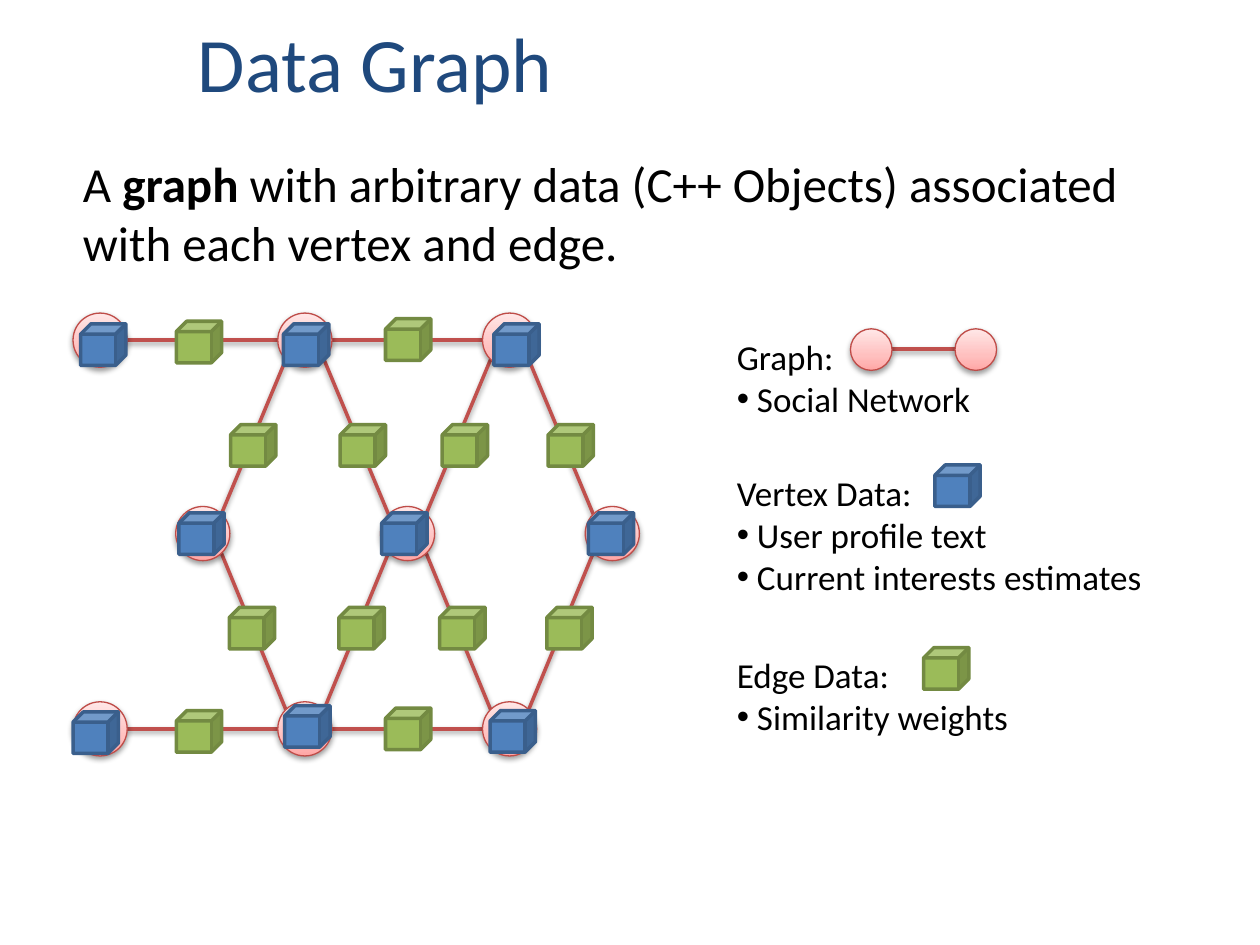
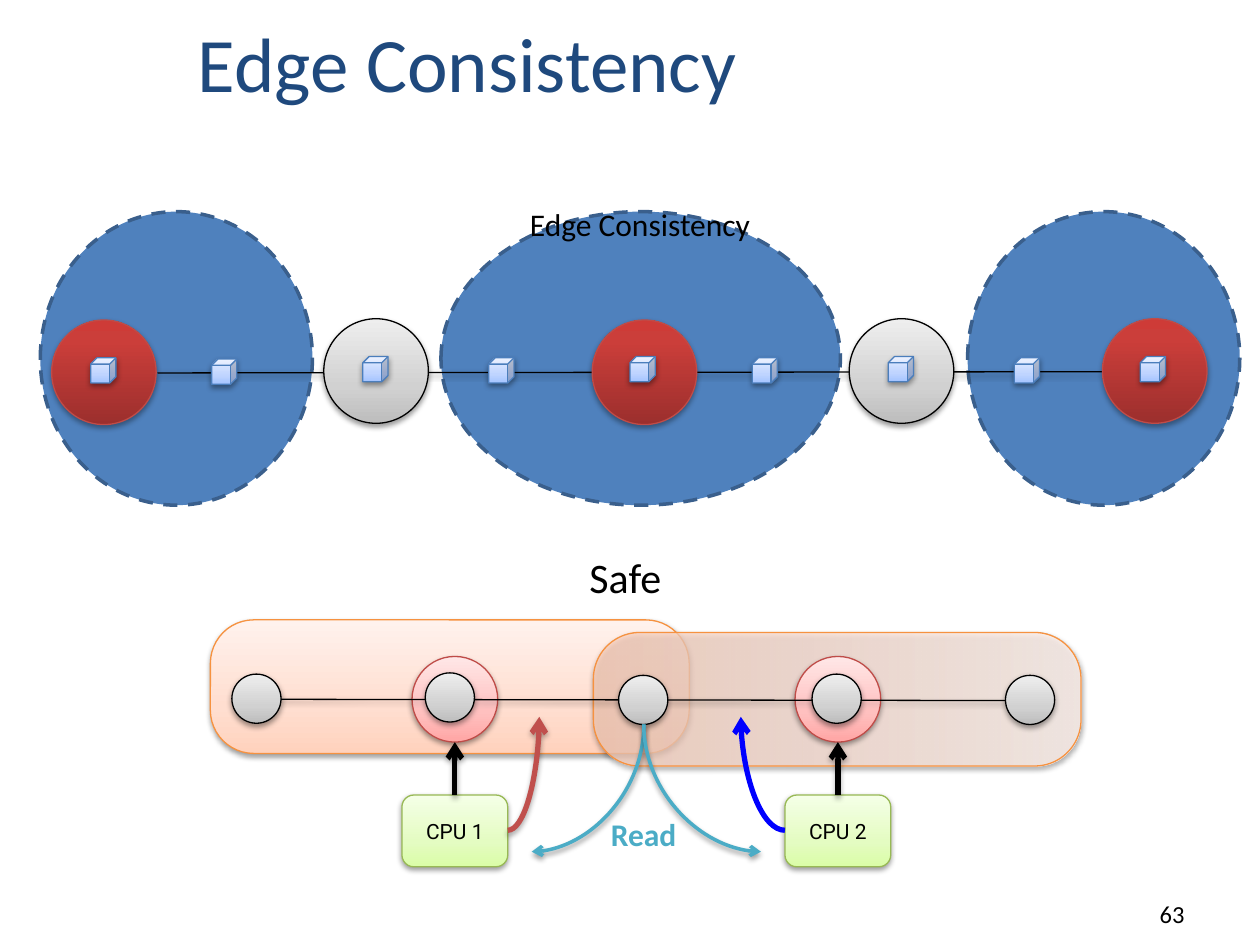
from lxml.etree import SubElement
from pptx import Presentation
from pptx.dml.color import RGBColor
from pptx.enum.dml import MSO_LINE
from pptx.enum.shapes import MSO_CONNECTOR, MSO_SHAPE
from pptx.enum.text import MSO_ANCHOR, PP_ALIGN
from pptx.oxml.ns import qn
from pptx.util import Inches, Pt

BLACK = RGBColor(0x00, 0x00, 0x00)
TITLE_BLUE = RGBColor(0x1F, 0x49, 0x7D)
BLUE = RGBColor(0x4F, 0x81, 0xBD)
BLUE_EDGE = RGBColor(0x3A, 0x5F, 0x8C)
GREEN = RGBColor(0x9B, 0xBB, 0x59)
GREEN_EDGE = RGBColor(0x73, 0x8A, 0x42)
RED = RGBColor(0xC0, 0x50, 0x4D)
RED_EDGE = RGBColor(0xBF, 0x4C, 0x48)
ORANGE_EDGE = RGBColor(0xF6, 0x92, 0x40)
LIME_EDGE = RGBColor(0x98, 0xB9, 0x55)
ICE_EDGE = RGBColor(0x4B, 0x7E, 0xBC)
PURE_BLUE = RGBColor(0x00, 0x00, 0xFF)
TEAL = RGBColor(0x4B, 0xAC, 0xC6)

# Gradients: (position %, colour, opacity %) from bottom to top
PINK_FADE = [(0, "FFA6A5", 100), (35, "FFC0BF", 100), (100, "FFE7E7", 100)]
RED_FADE = [(0, "9C2F2D", 100), (80, "CB3E3A", 100), (100, "CE3B37", 100)]
GREY_FADE = [(0, "BDBDBD", 100), (35, "D1D1D1", 100), (100, "EEEEEE", 100)]
PEACH_FADE = [(0, "FFD2BD", 100), (35, "FFDED0", 100), (100, "FFF2ED", 100)]
CLEAR_FADE = [(0, "FFD2BD", 72), (35, "FFDED0", 70), (100, "FFF2ED", 80)]
LIME_FADE = [(0, "DAFDA7", 100), (35, "E4FCC2", 100), (100, "F5FFE7", 100)]
ICE_FADE = [(0, "A4C4FF", 100), (35, "BFD4FF", 100), (100, "E6EEFF", 100)]

# Shadows: (distance in EMU, opacity %)
SOFT = (20000, 38)
STRONG = (23000, 35)


def paint(item, edge, width, fill=None, shadow=SOFT, arrow=None, angle=270):
    """Style a shape or a connector: fill, line, arrowhead and shadow."""
    properties = item.element.spPr
    if isinstance(fill, RGBColor):
        item.fill.solid()
        item.fill.fore_color.rgb = fill
    elif fill:
        item.fill.gradient()
        gradient = properties.find(qn("a:gradFill"))
        for child in list(gradient):
            gradient.remove(child)
        stops = SubElement(gradient, qn("a:gsLst"))
        for position, color, opacity in fill:
            stop = SubElement(stops, qn("a:gs"), pos=str(position * 1000))
            shade = SubElement(stop, qn("a:srgbClr"), val=color)
            if opacity < 100:
                SubElement(shade, qn("a:alpha"), val=str(opacity * 1000))
        SubElement(gradient, qn("a:lin"), ang=str(angle * 60000), scaled="0")
    item.line.color.rgb = edge
    item.line.width = Pt(width)
    if arrow:
        SubElement(properties.find(qn("a:ln")), qn(f"a:{arrow}End"), type="arrow")
    effects = SubElement(properties, qn("a:effectLst"))
    if shadow:
        distance, opacity = shadow
        outer = SubElement(effects, qn("a:outerShdw"), blurRad="40000",
                           dist=str(distance), dir="5400000", rotWithShape="0")
        shade = SubElement(outer, qn("a:srgbClr"), val="000000")
        SubElement(shade, qn("a:alpha"), val=str(opacity * 1000))


def write(frame, paragraphs, size, color=BLACK, align=PP_ALIGN.LEFT,
          font="Calibri", wrap=True):
    """Fill a text frame; every paragraph after the first is a bullet."""
    frame.word_wrap = wrap
    for index, runs in enumerate(paragraphs):
        para = frame.add_paragraph() if index else frame.paragraphs[0]
        para.alignment = align
        if index:
            layout = para._p.get_or_add_pPr()
            layout.set("marL", str(Inches(0.16)))
            layout.set("indent", str(-Inches(0.16)))
            SubElement(layout, qn("a:buFont"), typeface="Arial")
            SubElement(layout, qn("a:buChar"), char="•")
        for text, bold in runs:
            span = para.add_run()
            span.text = text
            span.font.name = font
            span.font.size = Pt(size)
            span.font.bold = bold
            span.font.color.rgb = color


deck = Presentation()
deck.slide_width, deck.slide_height = Inches(10), Inches(7.5)

# Pages with their titles
pages = []
for heading in ("Data Graph", "Edge Consistency"):
    page = deck.slides.add_slide(deck.slide_layouts[5])
    title = page.shapes.title
    title.left, title.top = Inches(1.47), Inches(0.08)
    title.width, title.height = Inches(8.2), Inches(0.83)
    title.text_frame.vertical_anchor = MSO_ANCHOR.BOTTOM
    write(title.text_frame, [[(heading, False)]], 44, TITLE_BLUE)
    pages.append(page)
graph_page, consistency_page = pages

# ---- Data graph ----
shapes = graph_page.shapes
intro = shapes.add_textbox(Inches(0.56), Inches(1.17), Inches(8.69), Inches(1.04))
write(intro.text_frame, [[
    ("A ", False), ("graph", True),
    (" with arbitrary data (C++ Objects) associated with each vertex and edge.", False),
]], 28)

# Lattice: two outer rows, and a middle row shifted by half a column
RADIUS, CORNER = 0.215, 0.15
HALF_STEP = 0.815
outer_columns = [0.795, 2.42, 4.045]
middle_columns = [x + HALF_STEP for x in outer_columns]
TOP_ROW, MIDDLE_ROW, BOTTOM_ROW = 2.7, 4.235, 5.785

edges = [(7.08, 2.77, 7.58, 2.77)]
for row, down in ((TOP_ROW, 1), (BOTTOM_ROW, -1)):
    for left, right in zip(outer_columns, outer_columns[1:]):
        edges.append((left + RADIUS, row, right - RADIUS, row))
    for x in outer_columns[1:]:
        for side in (-1, 1):
            edges.append((x + side * CORNER, row + down * CORNER,
                          x + side * (HALF_STEP - CORNER), MIDDLE_ROW - down * CORNER))
for ends in edges:
    edge = shapes.add_connector(MSO_CONNECTOR.STRAIGHT, *map(Inches, ends))
    paint(edge, RED, 2)

vertices = [(6.915, 2.775, 0.165), (7.745, 2.775, 0.165)]
for row, columns in ((TOP_ROW, outer_columns), (MIDDLE_ROW, middle_columns),
                     (BOTTOM_ROW, outer_columns)):
    vertices += [(x, row, RADIUS) for x in columns]
for x, y, radius in vertices:
    vertex = shapes.add_shape(MSO_SHAPE.OVAL, Inches(x - radius), Inches(y - radius),
                              Inches(2 * radius), Inches(2 * radius))
    paint(vertex, RED_EDGE, 0.75, PINK_FADE)

# Data cubes on vertices (blue) and edges (green), with the legend cubes last
vertex_cubes = [(0.64, 2.57), (3.92, 2.57), (3.03, 4.07), (1.42, 4.07), (2.25, 2.57),
                (3.89, 5.64), (2.26, 5.6), (0.58, 5.65), (4.67, 4.07), (7.42, 3.69)]
edge_cubes = [(1.4, 2.55), (3.06, 2.53), (1.83, 3.37), (2.7, 3.37), (3.51, 3.37),
              (4.35, 3.37), (1.82, 4.82), (2.69, 4.82), (3.49, 4.82), (4.34, 4.82),
              (1.4, 5.64), (3.06, 5.62), (7.33, 5.14)]
for places, fill, outline in ((vertex_cubes, BLUE, BLUE_EDGE),
                              (edge_cubes, GREEN, GREEN_EDGE)):
    for x, y in places:
        cube = shapes.add_shape(MSO_SHAPE.CUBE, Inches(x), Inches(y),
                                Inches(0.36), Inches(0.33))
        paint(cube, outline, 2, fill, shadow=None)

# Legend
for top, height, lines in (
    (2.61, 0.77, ["Graph:", "Social Network"]),
    (3.69, 1.11, ["Vertex Data:", "User profile text", "Current interests estimates"]),
    (5.14, 0.77, ["Edge Data:", "Similarity weights"]),
):
    legend = shapes.add_textbox(Inches(5.75), Inches(top), Inches(4), Inches(height))
    write(legend.text_frame, [[(line, False)] for line in lines], 20)

# ---- Edge consistency ----
shapes = consistency_page.shapes

# Consistency scopes
for left, width in ((0.32, 2.16), (7.68, 2.16), (3.5, 3.17)):
    scope = shapes.add_shape(MSO_SHAPE.OVAL, Inches(left), Inches(1.68),
                             Inches(width), Inches(2.33))
    paint(scope, BLUE_EDGE, 2, BLUE, shadow=None)
    scope.line.dash_style = MSO_LINE.DASH

# Chain of vertices
chain = shapes.add_connector(MSO_CONNECTOR.STRAIGHT, Inches(1.25), Inches(2.96),
                             Inches(8.75), Inches(2.95))
paint(chain, BLACK, 0.75)
for left, top, fill, outline, shadow in (
    (0.41, 2.54, RED_FADE, RED_EDGE, STRONG), (2.57, 2.53, GREY_FADE, BLACK, SOFT),
    (4.7, 2.54, RED_FADE, RED_EDGE, STRONG), (6.74, 2.53, GREY_FADE, BLACK, SOFT),
    (8.75, 2.53, RED_FADE, RED_EDGE, STRONG),
):
    vertex = shapes.add_shape(MSO_SHAPE.OVAL, Inches(left), Inches(top),
                              Inches(0.83), Inches(0.83))
    paint(vertex, outline, 0.75, fill, shadow)
for left, top in ((0.72, 2.84), (1.68, 2.85), (2.88, 2.83), (3.88, 2.84), (5, 2.83),
                  (5.97, 2.84), (7.05, 2.83), (8.05, 2.84), (9.05, 2.83)):
    cube = shapes.add_shape(MSO_SHAPE.CUBE, Inches(left), Inches(top),
                            Inches(0.2), Inches(0.2))
    paint(cube, ICE_EDGE, 0.75, ICE_FADE)

# Each processor with its scope, vertex and arrow
for name, center, (left, top, width), corner, fade, angle in (
    ("CPU 1", 3.61, (1.67, 4.92, 3.8), 0.325, PEACH_FADE, 270),
    ("CPU 2", 6.65, (4.71, 5.02, 3.87), 0.347, CLEAR_FADE, 0),
):
    scope = shapes.add_shape(MSO_SHAPE.ROUNDED_RECTANGLE, Inches(left), Inches(top),
                             Inches(width), Inches(1.06))
    scope.adjustments[0] = corner
    paint(scope, ORANGE_EDGE, 0.75, fade, angle=angle)
    halo = shapes.add_shape(MSO_SHAPE.OVAL, Inches(center - 0.34), Inches(5.21),
                            Inches(0.68), Inches(0.68))
    paint(halo, RED_EDGE, 0.75, PINK_FADE)
    processor = shapes.add_shape(MSO_SHAPE.ROUNDED_RECTANGLE, Inches(center - 0.42),
                                 Inches(6.31), Inches(0.84), Inches(0.57))
    paint(processor, LIME_EDGE, 0.75, LIME_FADE)
    processor.text_frame.vertical_anchor = MSO_ANCHOR.MIDDLE
    write(processor.text_frame, [[(name, False)]], 12, align=PP_ALIGN.CENTER,
          font="Roboto", wrap=False)
    pointer = shapes.add_connector(MSO_CONNECTOR.STRAIGHT, Inches(center), Inches(6.31),
                                   Inches(center), Inches(5.89))
    paint(pointer, BLACK, 3, shadow=STRONG, arrow="tail")

# Shared chain below
chain = shapes.add_connector(MSO_CONNECTOR.STRAIGHT, Inches(2.23), Inches(5.55),
                             Inches(7.98), Inches(5.56))
paint(chain, BLACK, 0.75)
for index, top in enumerate((5.35, 5.34, 5.36, 5.35, 5.36)):
    vertex = shapes.add_shape(MSO_SHAPE.OVAL, Inches(1.84 + 1.535 * index), Inches(top),
                              Inches(0.39), Inches(0.39))
    paint(vertex, BLACK, 0.75, GREY_FADE)

# Curved arrows leave sideways and arrive upright
for ends, color, width, shadow, arrow in (
    ((4.03, 6.59, 4.28, 5.69), RED, 3, STRONG, "tail"),
    ((6.23, 6.59, 5.88, 5.69), PURE_BLUE, 3, None, "tail"),
    ((4.22, 6.76, 5.11, 5.75), TEAL, 2, SOFT, "head"),
    ((6.04, 6.76, 5.11, 5.75), TEAL, 2, SOFT, "head"),
):
    curve = shapes.add_connector(MSO_CONNECTOR.CURVE, *map(Inches, ends))
    curve.element.spPr.find(qn("a:prstGeom")).set("prst", "curvedConnector2")
    paint(curve, color, width, shadow=shadow, arrow=arrow)

# Labels and page number
for text, place, size, color, bold, align in (
    ("Edge Consistency", (3.88, 1.58, 2.4, 0.74), 18, BLACK, False, PP_ALIGN.CENTER),
    ("Safe", (4.58, 4.33, 1.13, 0.73), 24, BLACK, False, PP_ALIGN.LEFT),
    ("Read", (4.75, 6.42, 1.06, 0.59), 18, TEAL, True, PP_ALIGN.LEFT),
):
    label = shapes.add_textbox(*map(Inches, place))
    write(label.text_frame, [[(text, bold)]], size, color, align)
number = shapes.add_textbox(Inches(7.42), Inches(6.92), Inches(2.08), Inches(0.5))
number.text_frame.vertical_anchor = MSO_ANCHOR.BOTTOM
write(number.text_frame, [[("63", False)]], 14, align=PP_ALIGN.RIGHT)

deck.save("out.pptx")
